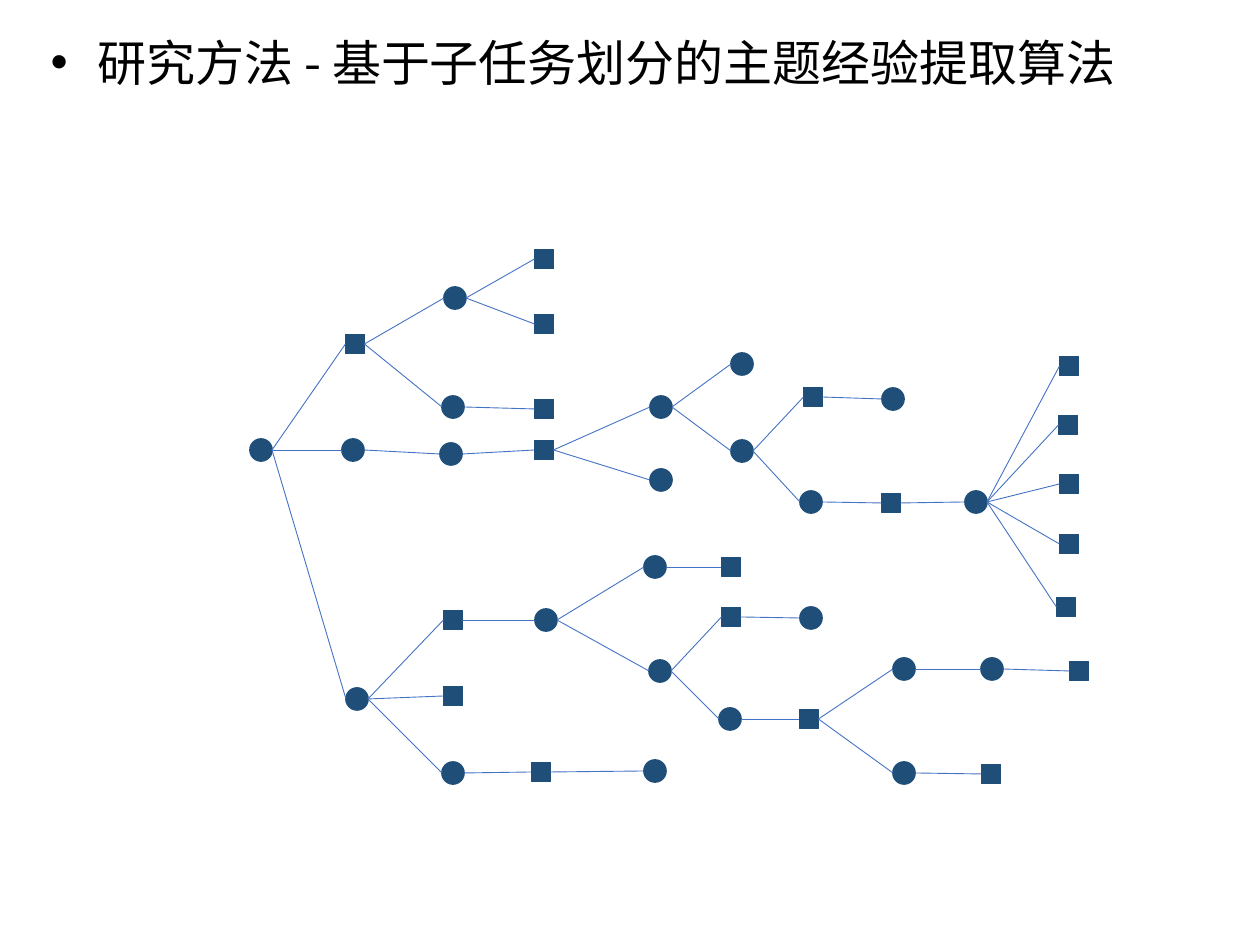
from dataclasses import dataclass

from lxml.etree import SubElement
from pptx import Presentation
from pptx.dml.color import RGBColor
from pptx.enum.shapes import MSO_CONNECTOR, MSO_SHAPE
from pptx.enum.text import MSO_ANCHOR, MSO_AUTO_SIZE, PP_ALIGN
from pptx.oxml.ns import qn
from pptx.util import Emu, Pt

EMU_PER_PX = 914400 / 126
COLORS = {"node": "1F4E79", "edge": "4472C4", "text": "000000"}
FONT = "Noto Sans CJK SC"
TITLE = "研究方法 - 基于子任务划分的主题经验提取算法"
LEFT_SIDE, RIGHT_SIDE = 1, 3


@dataclass(frozen=True)
class Node:
    """A tree node centred at x, y in px, with its branches."""
    x: int
    y: int
    children: tuple["Node", ...] = ()
    shape: MSO_SHAPE = MSO_SHAPE.OVAL
    size: int = 22


def circle(x: int, y: int, *children: Node) -> Node:
    return Node(x, y, children)


def square(x: int, y: int, *children: Node) -> Node:
    return Node(x, y, children, MSO_SHAPE.RECTANGLE, 19)


UPPER = square(
    355, 344,
    circle(455, 298, square(544, 259), square(544, 324)),
    circle(453, 407, square(544, 409)))

FAN = circle(
    976, 502,
    square(1069, 366), square(1068, 425), square(1069, 484),
    square(1069, 544), square(1066, 607))

MIDDLE = circle(353, 450, circle(451, 454, square(
    544, 450,
    circle(
        661, 407,
        circle(742, 364),
        circle(
            742, 451,
            square(813, 397, circle(893, 399)),
            circle(811, 502, square(891, 503, FAN)))),
    circle(661, 480))))

LOWER = circle(
    357, 699,
    square(453, 620, circle(
        546, 620,
        circle(655, 567, square(731, 567)),
        circle(
            660, 671,
            square(731, 617, circle(811, 618)),
            circle(730, 719, square(
                809, 719,
                circle(904, 669, circle(992, 669, square(1079, 671))),
                circle(904, 773, square(991, 774))))))),
    square(453, 696),
    circle(453, 773, square(541, 772, circle(655, 771))))

TREE = circle(261, 450, UPPER, MIDDLE, LOWER)


def px(value: float) -> Emu:
    return Emu(round(value * EMU_PER_PX))


def rgb(name: str) -> RGBColor:
    return RGBColor.from_string(COLORS[name])


def set_attrs(target, values: dict) -> None:
    for name, value in values.items():
        setattr(target, name, value)


def add_title(slide) -> None:
    sp = slide.shapes.title
    set_attrs(sp, {"left": px(38), "top": px(26),
                   "width": px(1142), "height": px(72)})
    tf = sp.text_frame
    set_attrs(tf, {"word_wrap": True, "vertical_anchor": MSO_ANCHOR.TOP,
                   "auto_size": MSO_AUTO_SIZE.SHAPE_TO_FIT_TEXT})
    p = tf.paragraphs[0]
    p.alignment = PP_ALIGN.LEFT
    pPr = p._p.get_or_add_pPr()
    pPr.set("marL", str(px(47)))
    pPr.set("indent", str(px(-47)))
    SubElement(pPr, qn("a:buFont"), typeface="Arial")
    SubElement(pPr, qn("a:buChar"), char="•")
    r = p.add_run()
    r.text = TITLE
    set_attrs(r.font, {"name": FONT, "size": Pt(28), "bold": False})
    r.font.color.rgb = rgb("text")
    SubElement(r._r.get_or_add_rPr(), qn("a:ea"), typeface=FONT)


def add_node(slide, node: Node):
    sp = slide.shapes.add_shape(
        node.shape, px(node.x - node.size / 2), px(node.y - node.size / 2),
        px(node.size), px(node.size))
    sp.shadow.inherit = False
    sp.fill.solid()
    sp.fill.fore_color.rgb = rgb("node")
    sp.line.color.rgb = rgb("node")
    sp.line.width = Pt(1)
    return sp


def add_edge(slide, parent: Node, parent_sp, child: Node, child_sp) -> None:
    """Run a line from the parent's right side to the child's left side."""
    line = slide.shapes.add_connector(
        MSO_CONNECTOR.STRAIGHT,
        px(parent.x + parent.size / 2), px(parent.y),
        px(child.x - child.size / 2), px(child.y))
    line.line.color.rgb = rgb("edge")
    line.line.width = Pt(0.5)
    SubElement(line._element.spPr, qn("a:effectLst"))
    if parent.shape == MSO_SHAPE.RECTANGLE:
        line.begin_connect(parent_sp, RIGHT_SIDE)
    if child.shape == MSO_SHAPE.RECTANGLE:
        line.end_connect(child_sp, LEFT_SIDE)


def add_tree(slide, node: Node):
    sp = add_node(slide, node)
    for child in node.children:
        add_edge(slide, node, sp, child, add_tree(slide, child))
    return sp


def main() -> None:
    prs = Presentation()
    set_attrs(prs, {"slide_width": px(1260), "slide_height": px(945)})
    slide = prs.slides.add_slide(prs.slide_layouts[5])
    add_title(slide)
    add_tree(slide, TREE)
    prs.save("out.pptx")


if __name__ == "__main__":
    main()
